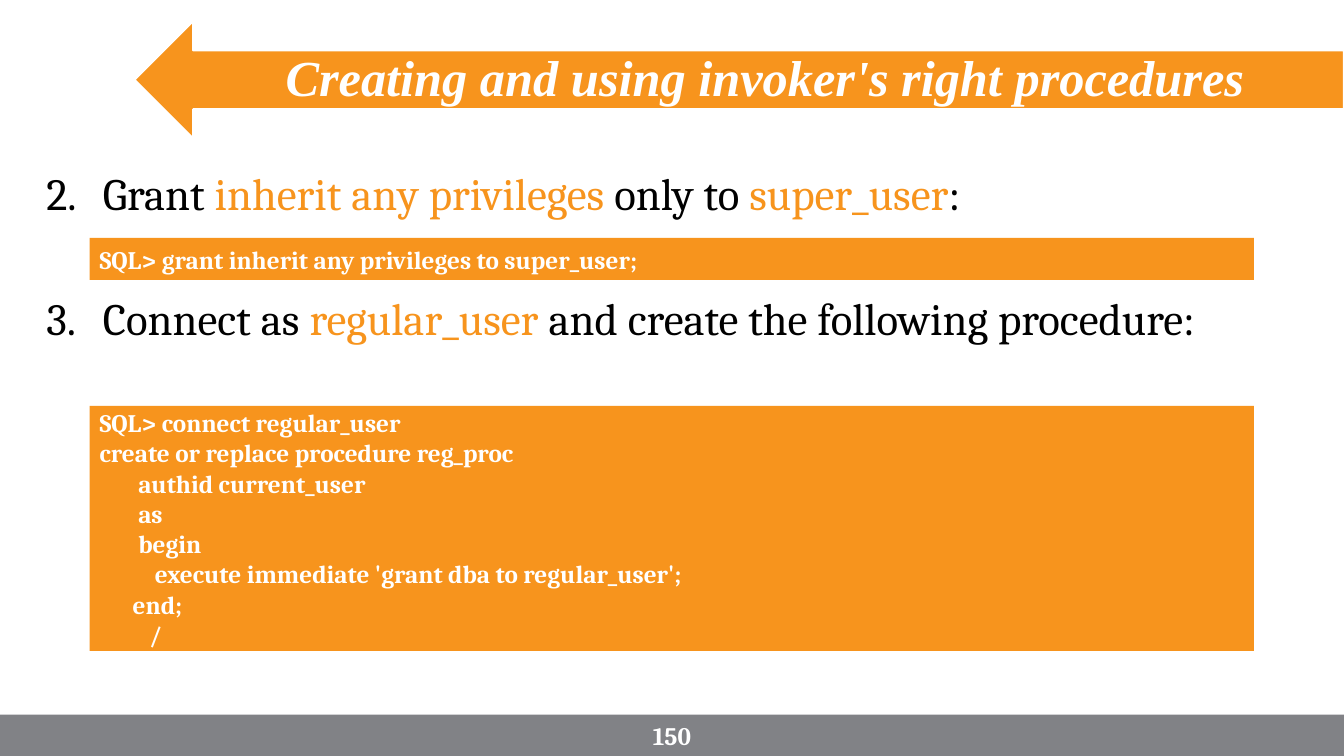
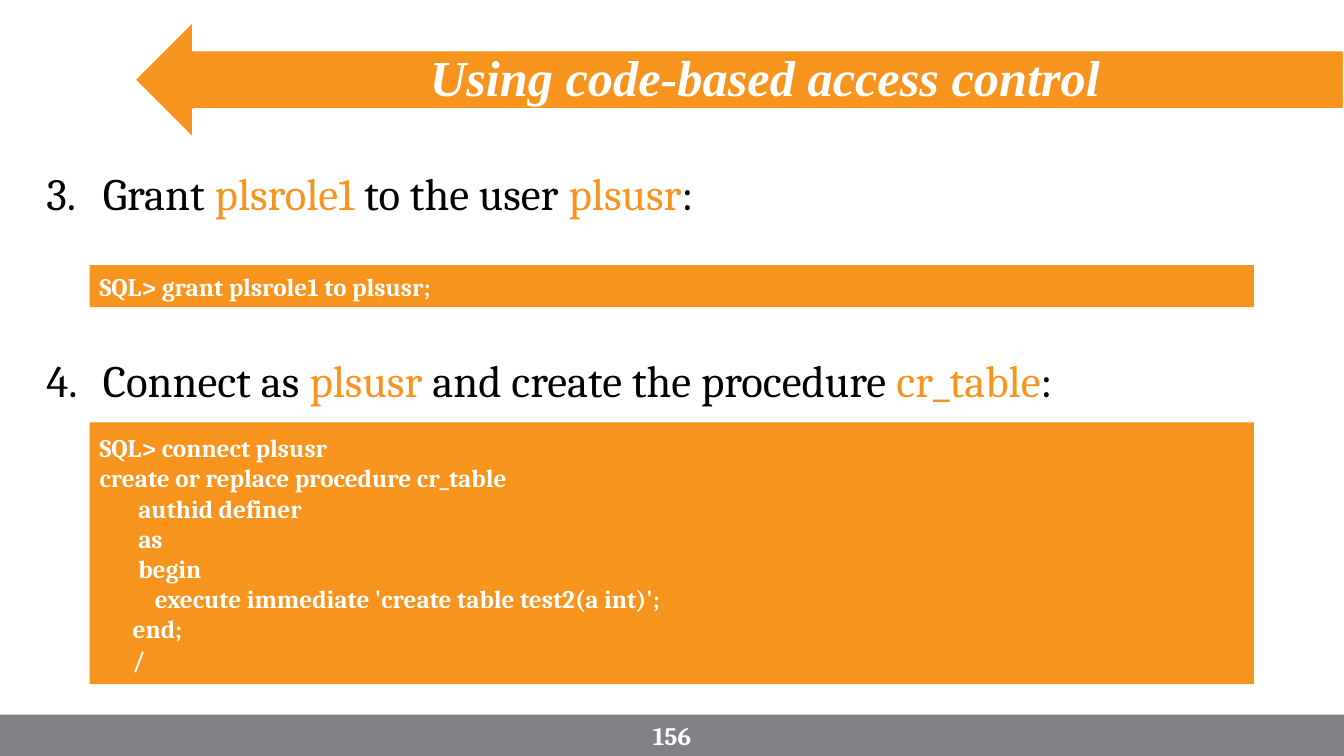
import pptx
import pptx.util
import pptx.dml.color
import pptx.enum.shapes
import pptx.enum.text
import pptx.oxml.ns
import lxml.etree

Pt = pptx.util.Pt
RGB = pptx.dml.color.RGBColor
Shape = pptx.enum.shapes.MSO_SHAPE
Align = pptx.enum.text.PP_ALIGN
Anchor = pptx.enum.text.MSO_ANCHOR

ORANGE = RGB(0xF7, 0x94, 0x1D)
GRAY = RGB(0x81, 0x82, 0x86)
WHITE = RGB(0xFF, 0xFF, 0xFF)
BLACK = RGB(0x00, 0x00, 0x00)
SERIF = "Cambria"
TITLE = "Times New Roman"
WIDE, HIGH = 960, 540
INDENT = 40.5
STEP = (26, 118.8, 906, 342.8)
ARROW = (96, 15, 864, 84)
HEAD = (133, 31, 827, 52)
FOOT = (0, 510.5, WIDE, 29.5)
CODE_X, CODE_W = 64, 831.6


def place(box):
    return [Pt(n) for n in box]


def number(para, start):
    props = para._p.get_or_add_pPr()
    props.set("marL", str(Pt(INDENT)))
    props.set("indent", str(-Pt(INDENT)))
    bullet = lxml.etree.SubElement(props, pptx.oxml.ns.qn("a:buAutoNum"))
    bullet.set("type", "arabicPeriod")
    bullet.set("startAt", str(start))


def write(shape, lines, size=18, font=SERIF, color=WHITE, accent=ORANGE,
          bold=False, italic=False, align=Align.LEFT, anchor=Anchor.MIDDLE,
          spacing=None, gap=0, start=None):
    frame = shape.text_frame
    frame.word_wrap = True
    frame.vertical_anchor = anchor
    for row, parts in enumerate(lines):
        para = frame.add_paragraph() if row else frame.paragraphs[0]
        if start:
            number(para, start)
        para.alignment = align
        para.line_spacing = spacing
        para.space_before = Pt(gap if row else 0)
        para.font.size = Pt(size)
        for col, text in enumerate(parts):
            run = para.add_run()
            run.text = text
            run.font.name = font
            run.font.size = Pt(size)
            run.font.bold = bold
            run.font.italic = italic
            run.font.color.rgb = accent if col % 2 else color


def block(slide, kind, box, fill, line=None):
    shape = slide.shapes.add_shape(kind, *place(box))
    shape.shadow.inherit = False
    shape.fill.solid()
    shape.fill.fore_color.rgb = fill
    if line:
        shape.line.color.rgb = line
        shape.line.width = Pt(1.5)
    else:
        shape.line.fill.background()
    return shape


def header(slide, title):
    block(slide, Shape.LEFT_ARROW, ARROW, ORANGE, WHITE)
    label = slide.shapes.add_textbox(*place(HEAD))
    write(label, [[title]], size=36, font=TITLE, bold=True, italic=True,
          align=Align.CENTER, spacing=0.9)


def footer(slide, page):
    band = block(slide, Shape.RECTANGLE, FOOT, GRAY)
    write(band, [[page]], bold=True, align=Align.CENTER)


def steps(slide, start, gap, lines):
    body = slide.shapes.add_textbox(*place(STEP))
    write(body, lines, size=32, color=BLACK, anchor=Anchor.TOP,
          spacing=0.9, gap=gap, start=start)


def code(slide, top, high, text):
    panel = block(slide, Shape.RECTANGLE, (CODE_X, top, CODE_W, high), ORANGE)
    write(panel, [[line] for line in text.split("\n")], bold=True)


def build(deck, title, page, start, gap, lines, codes):
    slide = deck.slides.add_slide(deck.slide_layouts[6])
    header(slide, title)
    footer(slide, page)
    steps(slide, start, gap, lines)
    for top, high, text in codes:
        code(slide, top, high, text)


GRANT = """SQL> connect regular_user
create or replace procedure reg_proc
       authid current_user
       as
       begin
          execute immediate 'grant dba to regular_user';
      end;
         /"""

TABLE = """SQL> connect plsusr
create or replace procedure cr_table
       authid definer
       as
       begin
          execute immediate 'create table test2(a int)';
      end;
      /"""


def main():
    deck = pptx.Presentation()
    deck.slide_width, deck.slide_height = Pt(WIDE), Pt(HIGH)
    build(deck, "Creating and using invoker's right procedures", "150", 2, 55,
          [["Grant ", "inherit any privileges ", "only to ", "super_user", ":"],
           ["Connect as ", "regular_user",
            " and create the following procedure:"]],
          [(170, 30, "SQL> grant inherit any privileges to super_user;"),
           (290, 175, GRANT)])
    build(deck, "Using code-based access control", "156", 3, 99.5,
          [["Grant ", "plsrole1", " to the user ", "plsusr", ":"],
           ["Connect as ", "plsusr ", "and create the procedure ",
            "cr_table", ":"]],
          [(189.4, 30, "SQL> grant plsrole1 to plsusr;"),
           (301.7, 187, TABLE)])
    deck.save("out.pptx")


if __name__ == "__main__":
    main()
